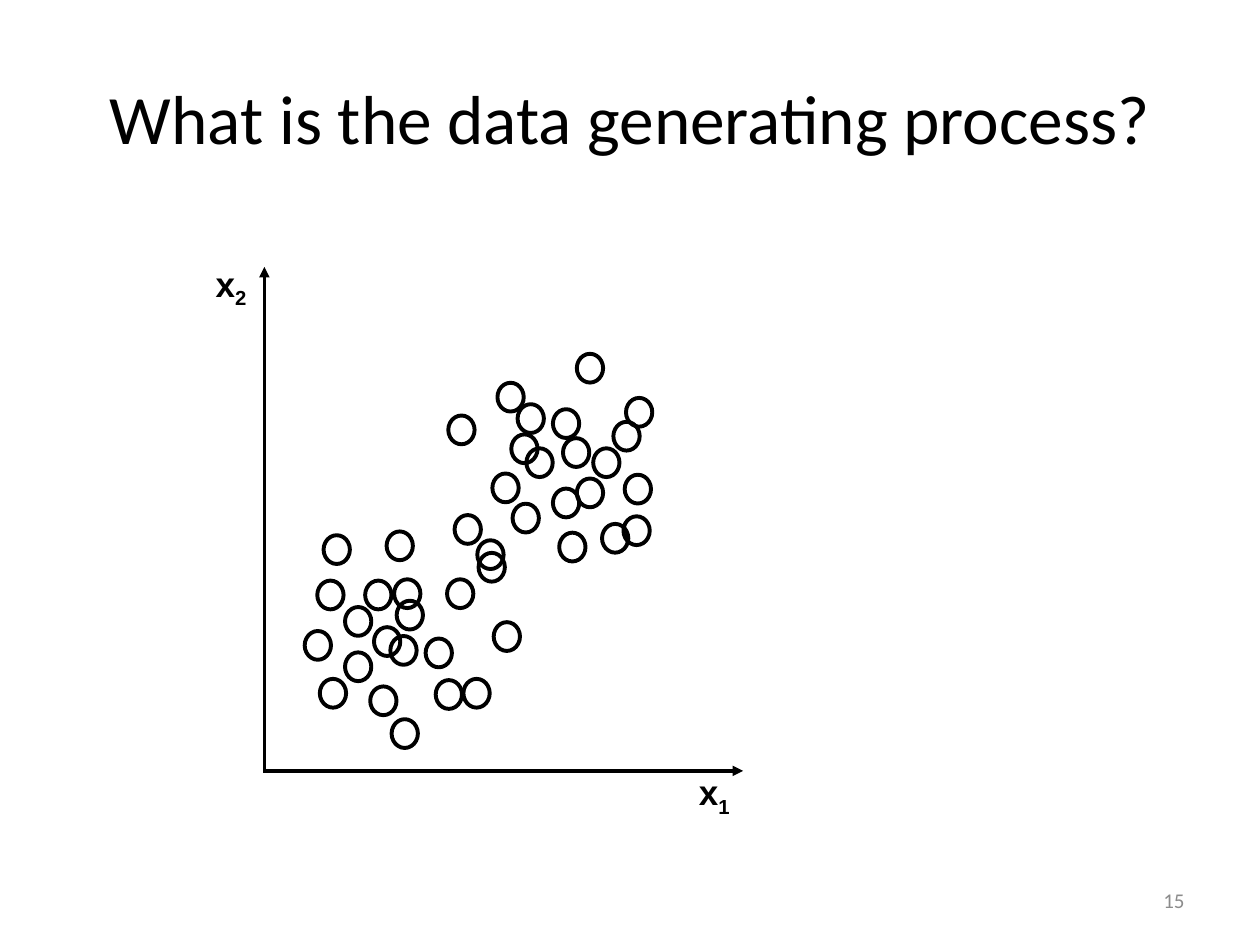
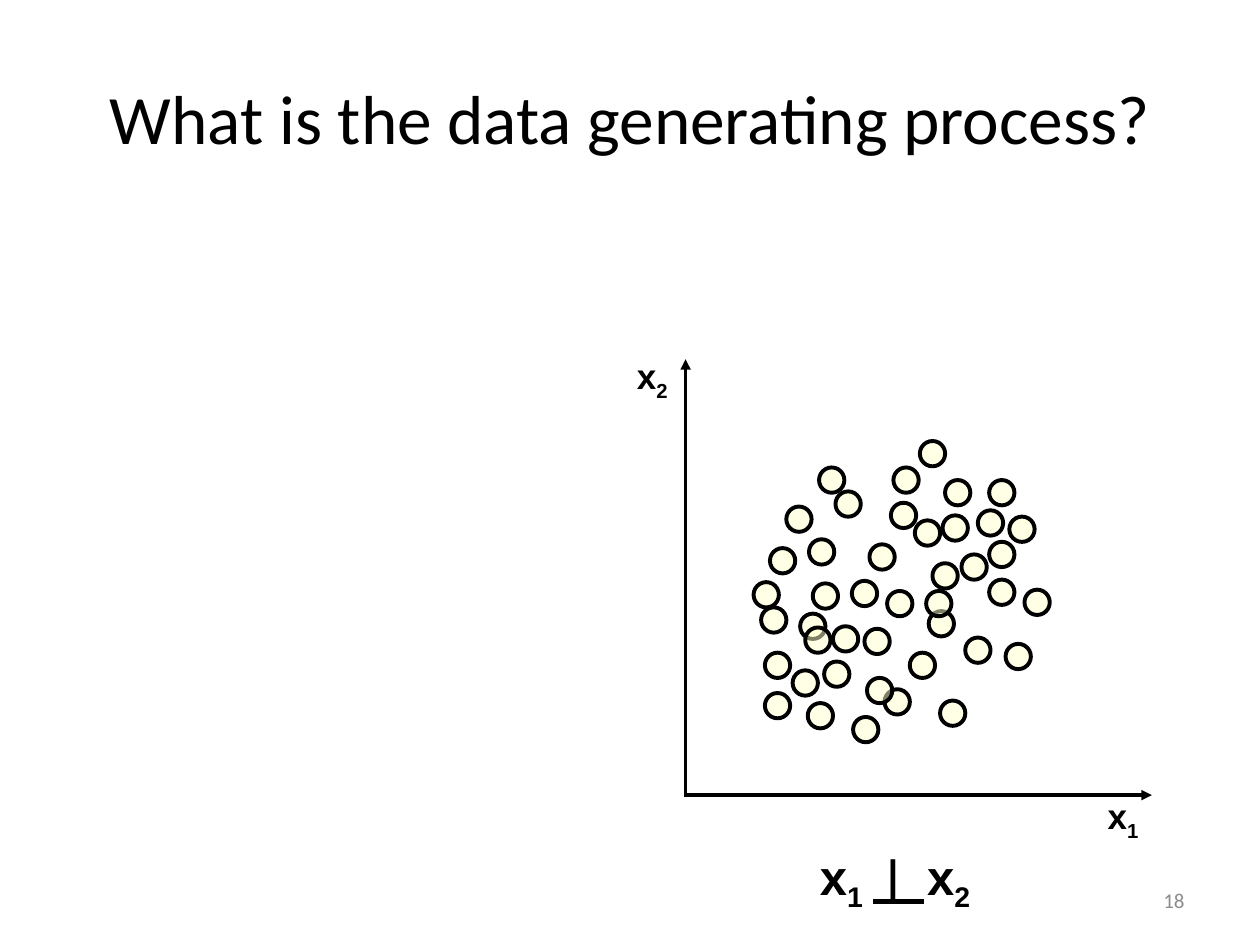
from lxml import etree
from pptx import Presentation
from pptx import util as u
from pptx.dml.color import RGBColor
from pptx.enum import shapes, text
from pptx.oxml import ns
from pptx.util import Cm

BLACK = RGBColor(0x00, 0x00, 0x00)
GREY = RGBColor(0x8C, 0x8C, 0x8C)
CREAM = RGBColor(0xFF, 0xFF, 0xCC)
HEAD_FONT, LABEL_FONT = "Calibri", "Arial"
TITLE = "What is the data generating process?"

STEP = Cm(2.54) / 100  # one unit of the point coordinates

# Top left corners of the dots, in steps from the top left of the plot box
CLUSTERED = [
    (101, 359), (84, 333), (136, 328), (44, 327), (32, 289), (42, 249),
    (145, 248), (128, 295), (169, 217), (182, 282), (151, 197), (103, 248),
    (97, 210), (64, 270), (47, 213), (158, 327), (87, 286), (105, 265),
    (100, 293), (64, 306), (80, 249), (170, 227), (234, 211), (197, 188),
    (181, 164), (146, 118), (185, 92), (248, 69), (287, 104), (268, 204),
    (285, 198), (201, 109), (208, 144), (196, 133), (229, 113), (237, 136),
    (277, 123), (229, 176), (248, 168), (286, 165), (261, 144),
]
INDEPENDENT = [
    (158, 262), (110, 240), (133, 284), (97, 273), (60, 197), (54, 177),
    (142, 214), (144, 253), (160, 184), (178, 233), (132, 176), (101, 178),
    (98, 143), (63, 233), (80, 117), (202, 271), (85, 247), (117, 212),
    (91, 202), (63, 265), (67, 150), (182, 128), (222, 221), (254, 226),
    (95, 213), (146, 147), (119, 105), (106, 86), (193, 200), (163, 114),
    (165, 86), (186, 65), (206, 96), (204, 124), (241, 96), (191, 184),
    (196, 162), (219, 155), (241, 145), (232, 120), (257, 125), (241, 175),
    (269, 183),
]


def style_run(r, size, color=BLACK, font=HEAD_FONT, bold=False):
    r.font.size = u.Pt(size)
    r.font.name = font
    r.font.bold = bold
    r.font.color.rgb = color


def add_box(parent, left, top, width, height):
    tf = parent.shapes.add_textbox(left, top, width, height).text_frame
    tf.word_wrap = True
    return tf


def add_variable(p, index, size):
    """Add a bold x with a subscript index."""
    for part in ("x", index):
        r = p.add_run()
        r.text = part
        style_run(r, size, font=LABEL_FONT, bold=True)
    r._r.get_or_add_rPr().set("baseline", "-25000")


def add_line(parent, x1, y1, x2, y2, width, arrow=False):
    c = parent.shapes.add_connector(
        shapes.MSO_CONNECTOR.STRAIGHT, int(x1), int(y1), int(x2), int(y2))
    c.line.color.rgb = BLACK
    c.line.width = u.Pt(width)
    if arrow:
        etree.SubElement(c.line._get_or_add_ln(), ns.qn("a:tailEnd"), type="triangle")
    etree.SubElement(c._element.spPr, ns.qn("a:effectLst"))


def add_dot(parent, left, top, width, height, fill):
    sp = parent.shapes.add_shape(
        shapes.MSO_SHAPE.OVAL, int(left), int(top), width, height)
    sp.shadow.inherit = False
    sp.line.color.rgb = BLACK
    sp.line.width = u.Pt(2.25)
    if fill is None:
        sp.fill.background()
        return
    sp.fill.solid()
    sp.fill.fore_color.rgb = fill
    color = sp._element.spPr.find(".//" + ns.qn("a:srgbClr"))
    etree.SubElement(color, ns.qn("a:alpha"), val="50000")


def scatter(s, box, points, dot_size, fill=None):
    """Draw dots, axis labels and axes within the box."""
    left, top, width, height = box
    right, bottom = left + width, top + height
    plot = s.shapes.add_group_shape()
    for x, y in points:
        add_dot(plot, left + x * STEP, top + y * STEP, *dot_size, fill)

    # Axis labels
    for index, x, y in (("2", left - Cm(1.23), top - Cm(0.22)),
                        ("1", right - Cm(1.14), bottom - Cm(0.13))):
        tf = add_box(plot, x, y, Cm(2.16), Cm(1.09))
        add_variable(tf.paragraphs[0], index, 20)

    # Axes
    add_line(plot, left, bottom, right, bottom, 2, arrow=True)
    add_line(plot, left, bottom + Cm(0.04), left, top, 2, arrow=True)


def independence(s, box):
    """Write x1, the independence sign and x2; the sign is a bar on a line."""
    left, top, width, height = box
    formula = s.shapes.add_group_shape()
    base = top + Cm(1.24)
    add_line(formula, left + Cm(1.32), base, left + Cm(2.34), base, 3)
    p = add_box(formula, *box).paragraphs[0]
    tabs = etree.SubElement(p._p.get_or_add_pPr(), ns.qn("a:tabLst"))
    for stop in (Cm(1.24), Cm(2.16)):
        etree.SubElement(tabs, ns.qn("a:tab"), pos=str(stop), algn="l")
    add_variable(p, "1", 28)
    r = p.add_run()
    r.text = "\t|\t"
    style_run(r, 28, bold=True)
    add_variable(p, "2", 28)


def new_slide(prs, number):
    """Add a slide with the shared title and a page number."""
    s = prs.slides.add_slide(prs.slide_layouts[5])
    title = s.shapes.title
    title.left, title.top, title.width, title.height = (
        Cm(1.27), Cm(0.76), Cm(22.86), Cm(3.18))
    title.text_frame.text = TITLE
    page = add_box(s, Cm(18.2), Cm(17.65), Cm(5.93), Cm(1.01))
    page.text = str(number)
    for tf, align, size, color in (
            (title.text_frame, text.PP_ALIGN.CENTER, 39.6, BLACK),
            (page, text.PP_ALIGN.RIGHT, 12, GREY)):
        tf.vertical_anchor = text.MSO_ANCHOR.MIDDLE
        p = tf.paragraphs[0]
        p.alignment = align
        style_run(p.runs[0], size, color)
    return s


def main():
    prs = Presentation()
    prs.slide_width, prs.slide_height = Cm(25.4), Cm(19.05)

    # Two clusters
    s = new_slide(prs, 15)
    scatter(s, (Cm(5.33), Cm(5.38), Cm(9.65), Cm(10.16)), CLUSTERED,
            (Cm(0.53), Cm(0.58)))

    # Independent variables
    s = new_slide(prs, 18)
    scatter(s, (Cm(13.82), Cm(7.24), Cm(9.4), Cm(8.79)), INDEPENDENT,
            (Cm(0.51), Cm(0.51)), CREAM)
    independence(s, (Cm(16.28), Cm(16.94), Cm(7.85), Cm(1.45)))

    prs.save("out.pptx")


if __name__ == "__main__":
    main()
